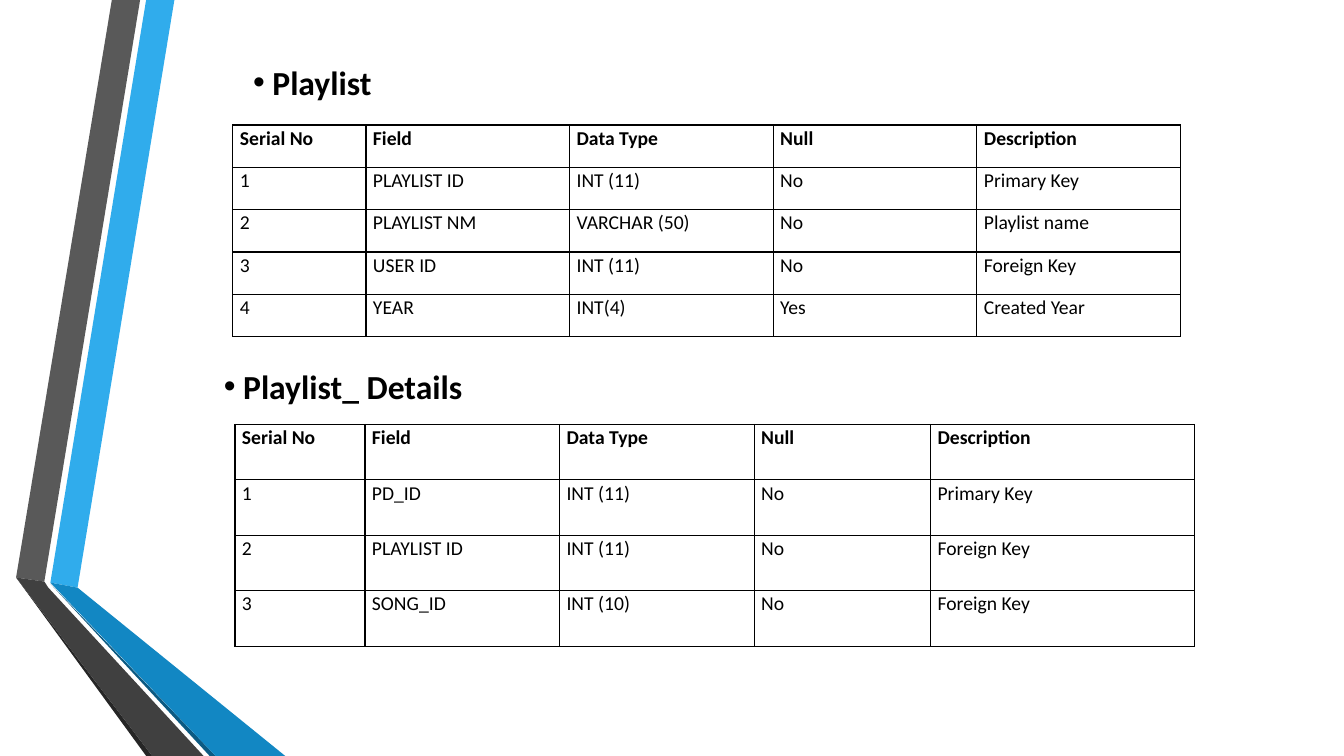
import pptx
import pptx.dml.color
import pptx.enum.text
import pptx.oxml
import pptx.oxml.ns
import pptx.util

Inches = pptx.util.Inches

COLORS = {
    "text": "000000",
    "border": "000000",
    "sky": "30ACEC",
    "blue": "1287C3",
    "navy": "0C5A82",
    "gray": "595959",
    "charcoal": "404040",
    "black": "262626",
}

RIBBONS = [
    ("sky", [(0.5, 5.78), (0.77, 5.83), (1.73, 0), (1.45, 0)]),
    ("gray", [(1.39, 0), (1.11, 0), (0.16, 5.73), (0.44, 5.77)]),
    ("black", [(0.16, 5.73), (1.45, 7.5), (1.51, 7.5)]),
    ("navy", [(0.5, 5.79), (2.08, 7.5), (2.14, 7.5)]),
    ("blue", [(0.5, 5.78), (2.14, 7.5), (2.83, 7.5), (0.77, 5.83)]),
    ("charcoal", [(2.02, 7.5), (0.48, 5.83), (0.44, 5.77), (0.16, 5.73), (1.51, 7.5)]),
]

HEADER = ("Serial No", "Field", "Data Type", "Null", "Description")

SECTIONS = [
    {
        "heading": " Playlist",
        "heading_box": (2.41, 0.56, 1.46, 0.5),
        "table_corner": (2.31, 1.24),
        "columns": (1.32, 2.02, 2.02, 2.02, 2.02),
        "row_height": 0.42,
        "rows": [
            ("1", "PLAYLIST ID", "INT (11)", "No", "Primary Key"),
            ("2", "PLAYLIST NM", "VARCHAR (50)", "No", "Playlist name"),
            ("3", "USER ID", "INT (11)", "No", "Foreign Key"),
            ("4", "YEAR", "INT(4)", "Yes", "Created Year"),
        ],
    },
    {
        "heading": " Playlist_ Details",
        "heading_box": (2.12, 3.58, 2.71, 0.5),
        "table_corner": (2.33, 4.21),
        "columns": (1.29, 1.93, 1.93, 1.75, 2.62),
        "row_height": 0.55,
        "rows": [
            ("1", "PD_ID", "INT (11)", "No", "Primary Key"),
            ("2", "PLAYLIST ID", "INT (11)", "No", "Foreign Key"),
            ("3", "SONG_ID", "INT (10)", "No", "Foreign Key"),
        ],
    },
]

HEADING_FRAME = {
    "word_wrap": False,
    "auto_size": pptx.enum.text.MSO_AUTO_SIZE.SHAPE_TO_FIT_TEXT,
    "vertical_anchor": pptx.enum.text.MSO_ANCHOR.TOP,
}
HEADING_PARAGRAPH = {
    "alignment": pptx.enum.text.PP_ALIGN.LEFT,
    "space_before": pptx.util.Pt(0),
}
HEADING_FONT = {"name": "Calibri", "size": pptx.util.Pt(24), "bold": True}
CELL_FONT = {"name": "Calibri", "size": pptx.util.Pt(14)}
CELL_MARGINS = {
    "margin_left": Inches(0.07),
    "margin_right": Inches(0.07),
    "margin_top": 0,
    "margin_bottom": 0,
}


def apply_format(target, values):
    for name, value in values.items():
        setattr(target, name, value)


def add_run(paragraph, text, font):
    run = paragraph.add_run()
    run.text = text
    apply_format(run.font, font)
    run.font.color.rgb = pptx.dml.color.RGBColor.from_string(COLORS["text"])


def add_element(parent, xml):
    namespace = pptx.oxml.ns.nsdecls("a")
    parent.append(pptx.oxml.parse_xml(xml.replace(" ", f" {namespace} ", 1)))


def add_ribbon(slide, color, points):
    corners = [(Inches(x), Inches(y)) for x, y in points]
    builder = slide.shapes.build_freeform(*corners[0])
    builder.add_line_segments(corners[1:], close=True)
    shape = builder.convert_to_shape()
    shape.shadow.inherit = False
    shape.fill.solid()
    shape.fill.fore_color.rgb = pptx.dml.color.RGBColor.from_string(COLORS[color])
    shape.line.fill.background()


def fill_heading(placeholder, text, box):
    apply_format(placeholder, dict(zip(("left", "top", "width", "height"), map(Inches, box))))
    apply_format(placeholder.text_frame, HEADING_FRAME)
    paragraph = placeholder.text_frame.paragraphs[0]
    properties = paragraph._p.get_or_add_pPr()
    properties.set("marL", "0")
    properties.set("indent", "0")
    add_element(properties, '<a:buFont typeface="Arial"/>')
    add_element(properties, '<a:buChar char="•"/>')
    apply_format(paragraph, HEADING_PARAGRAPH)
    add_run(paragraph, text, HEADING_FONT)


def format_cell(cell, text, bold):
    apply_format(cell, CELL_MARGINS)
    paragraph = cell.text_frame.paragraphs[0]
    paragraph.line_spacing = 1.07
    add_run(paragraph, text, {**CELL_FONT, "bold": bold})
    for side in ("lnL", "lnR", "lnT", "lnB"):
        add_element(
            cell._tc.get_or_add_tcPr(),
            f'<a:{side} w="{pptx.util.Pt(1)}"><a:solidFill>'
            f'<a:srgbClr val="{COLORS["border"]}"/></a:solidFill></a:{side}>',
        )
    cell.fill.background()


def add_field_table(slide, section):
    rows = [HEADER] + section["rows"]
    widths = section["columns"]
    left, top = section["table_corner"]
    height = section["row_height"] * len(rows)
    table = slide.shapes.add_table(
        len(rows), len(widths), Inches(left), Inches(top), Inches(sum(widths)), Inches(height)
    ).table
    table.horz_banding = False
    table.first_row = False
    for column, width in zip(table.columns, widths):
        column.width = Inches(width)
    for row_index, row in enumerate(rows):
        table.rows[row_index].height = Inches(section["row_height"])
        for column_index, text in enumerate(row):
            format_cell(table.cell(row_index, column_index), text, row_index == 0)


def main():
    presentation = pptx.Presentation()
    presentation.slide_width = Inches(13.33)
    presentation.slide_height = Inches(7.5)
    slide = presentation.slides.add_slide(presentation.slide_layouts[1])
    for color, points in RIBBONS:
        add_ribbon(slide, color, points)
    for placeholder, section in zip(list(slide.placeholders), SECTIONS):
        fill_heading(placeholder, section["heading"], section["heading_box"])
        add_field_table(slide, section)
    presentation.save("out.pptx")


if __name__ == "__main__":
    main()
